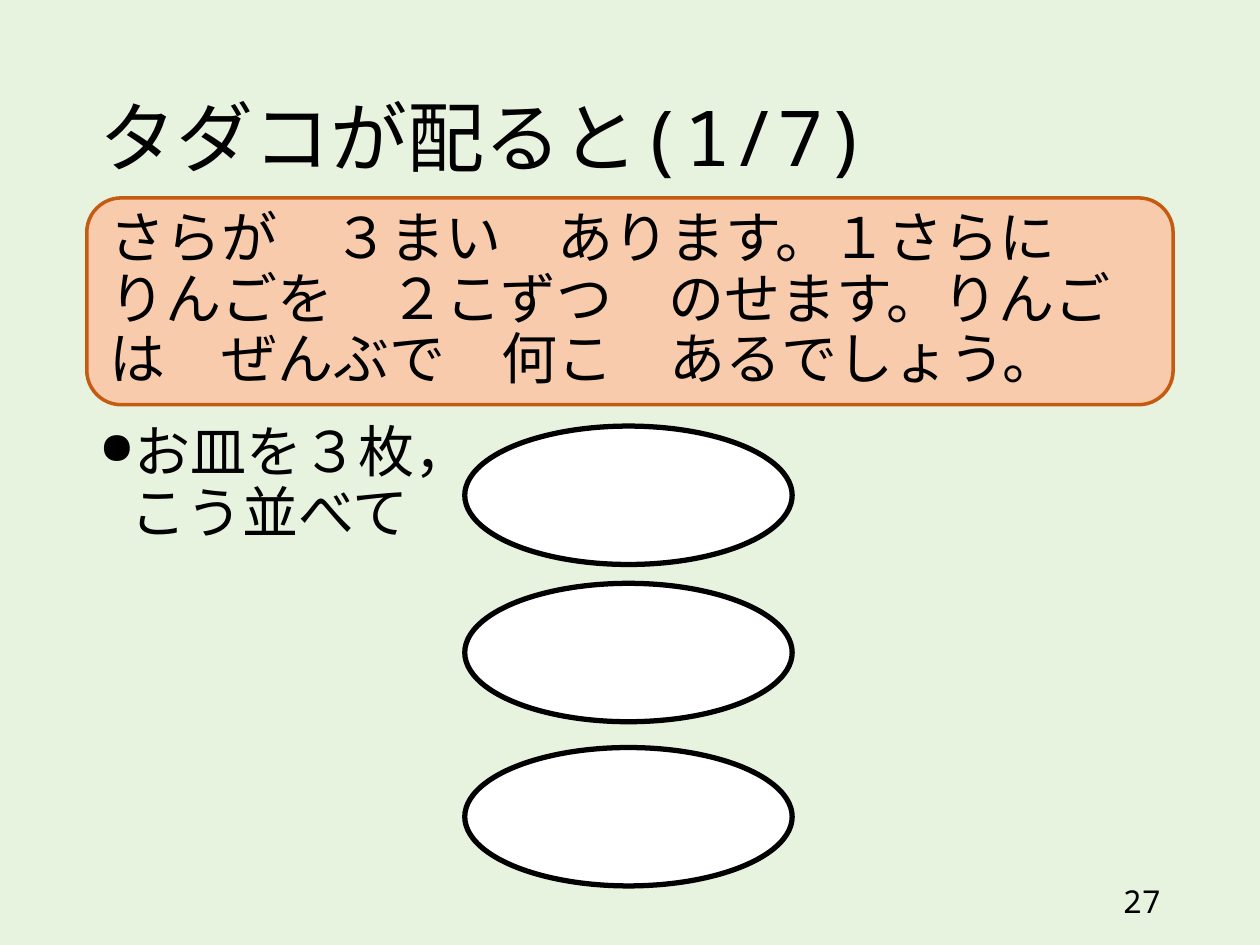
from dataclasses import dataclass

from lxml import etree
from pptx import Presentation
from pptx import util as u
from pptx.dml.color import RGBColor
from pptx.enum import shapes, text
from pptx.oxml.ns import qn


@dataclass(frozen=True)
class Theme:
    page: str = "E7F3DF"
    ink: str = "000000"
    plate: str = "FFFFFF"
    panel: str = "F8CBAD"
    edge: str = "C55A11"
    mono: str = "Noto Sans Mono"
    cjk: str = "Noto Sans CJK JP"
    title: int = 44
    body: int = 32
    number: int = 18


T = Theme()


def rgb(value):
    return RGBColor.from_string(value)


def set_attrs(obj, **values):
    for name, value in values.items():
        setattr(obj, name, value)


def write(sp, content, size, font=T.mono, anchor=text.MSO_ANCHOR.MIDDLE, **fmt):
    tf = sp.text_frame
    set_attrs(tf, word_wrap=True, vertical_anchor=anchor)
    p = tf.paragraphs[0]
    set_attrs(p, **{"alignment": text.PP_ALIGN.LEFT, **fmt})
    for i, line in enumerate(content.split("\n")):
        if i:
            p.add_line_break()
        r = p.add_run()
        r.text = line
        set_attrs(r.font, name=font, size=u.Pt(size))
        r.font.color.rgb = rgb(T.ink)
        ea = etree.SubElement(r.font._element, qn("a:ea"))
        ea.set("typeface", T.cjk)
    return p


def add_text(s, box, content, size, **fmt):
    return write(s.shapes.add_textbox(*map(u.Cm, box)), content, size, **fmt)


def add_panel(s, kind, box, fill, line, width):
    sp = s.shapes.add_shape(kind, *map(u.Cm, box))
    sp.shadow.inherit = False
    sp.fill.solid()
    sp.fill.fore_color.rgb = rgb(fill)
    sp.line.color.rgb = rgb(line)
    sp.line.width = u.Pt(width)
    return sp


def add_plates(s, box, offsets):
    left, top, width, height = box
    for dy in offsets:
        add_panel(s, shapes.MSO_SHAPE.OVAL, (left, top + dy, width, height),
                  T.plate, T.ink, 3)


def add_step(s, box, content):
    p = add_text(s, box, content, T.body, anchor=text.MSO_ANCHOR.TOP,
                 line_spacing=0.9, space_before=u.Pt(10))
    pPr = p._p.get_or_add_pPr()
    indent = u.Cm(0.64)
    pPr.set("marL", str(indent))
    pPr.set("indent", str(-indent))
    etree.SubElement(pPr, qn("a:buSzPct")).set("val", "80000")
    etree.SubElement(pPr, qn("a:buChar")).set("char", "●")


def add_problem(s, box, content):
    sp = add_panel(s, shapes.MSO_SHAPE.ROUNDED_RECTANGLE, box, T.panel, T.edge, 2)
    write(sp, content, T.body, font=T.cjk, line_spacing=0.9, space_before=u.Pt(10))


def main():
    prs = Presentation()
    set_attrs(prs, slide_width=u.Cm(25.4), slide_height=u.Cm(19.05))
    s = prs.slides.add_slide(prs.slide_layouts[6])
    s.background.fill.solid()
    s.background.fill.fore_color.rgb = rgb(T.page)

    left, width = 1.75, 21.9
    add_text(s, (left, 1.02, width, 3.68), "タダコが配ると(1/7)", T.title,
             line_spacing=0.9)
    add_text(s, (17.93, 17.65, 5.72, 1.02), "27", T.number,
             alignment=text.PP_ALIGN.RIGHT)
    add_plates(s, (9.37, 8.59, 6.6, 2.79), (0, 3.17, 6.48))
    add_step(s, (left, 8.43, width, 8.71), "お皿を３枚，\nこう並べて")
    add_problem(s, (left, 3.99, width, 4.17),
                "さらが　３まい　あります。１さらに　りんごを　２こずつ　のせます。"
                "りんごは　ぜんぶで　何こ　あるでしょう。")
    prs.save("out.pptx")


if __name__ == "__main__":
    main()
